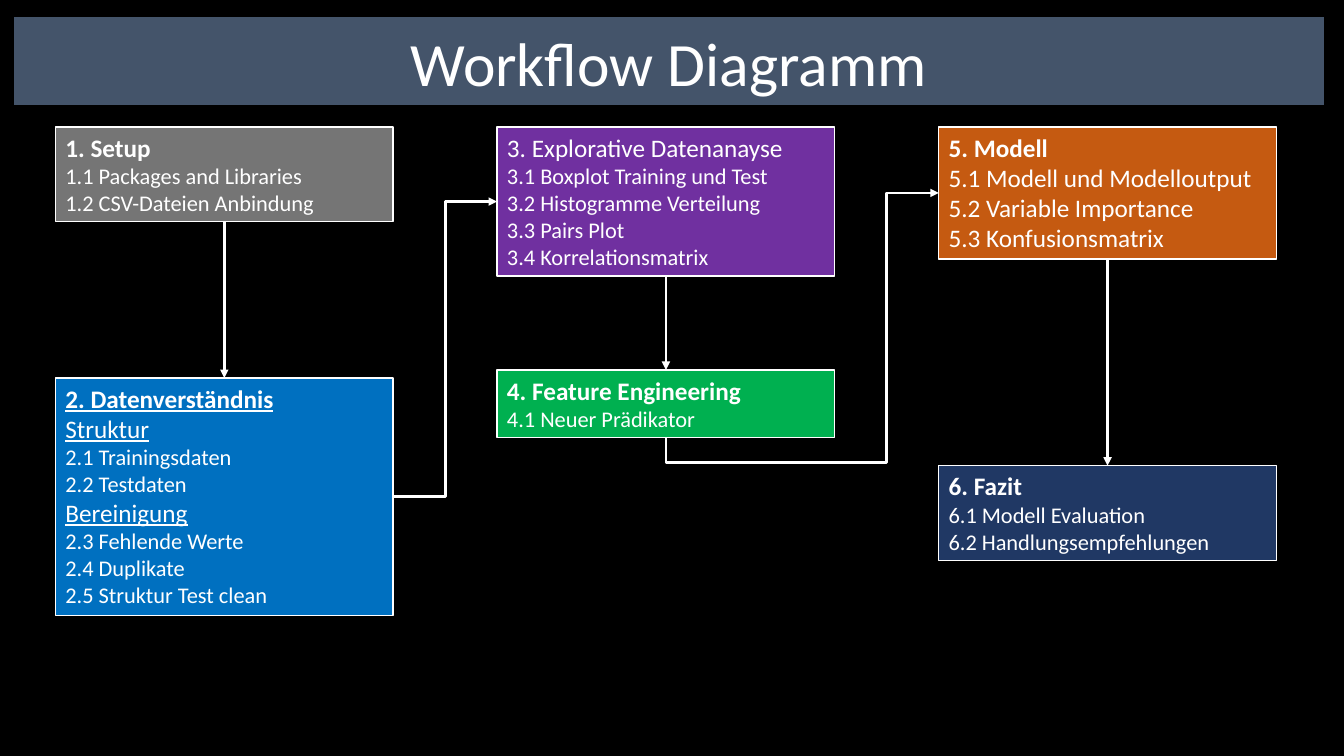
from dataclasses import dataclass

from lxml.etree import SubElement
from pptx import Presentation
from pptx.dml.color import RGBColor as RGB
from pptx.enum.shapes import MSO_CONNECTOR as Kind, MSO_SHAPE as Form
from pptx.enum.text import MSO_ANCHOR as Anchor, MSO_AUTO_SIZE as Fit, PP_ALIGN as Align
from pptx.oxml.ns import qn
from pptx.util import Inches, Pt

HUES = {
    "back": "000000", "text": "FFFFFF", "bar": "44546A", "gray": "808080",
    "blue": "0070C0", "violet": "7030A0", "green": "00B050",
    "orange": "C55A11", "navy": "203864",
}
LEFT, PITCH, WIDTH = 0.55, 4.38, 3.35
BOTTOM, RIGHT, TOP, SIDE = 2, 3, 0, 1


@dataclass
class Step:
    col: int
    top: float
    high: float
    hue: str
    head: str
    items: list[str]
    size: int = 16
    bold: bool = True
    under: bool = False
    alpha: int = 100


@dataclass
class Link:
    start: int
    end: int
    exit: int = BOTTOM
    entry: int = TOP
    kind: Kind = Kind.STRAIGHT


STEPS = [
    Step(0, 1.26, 0.94, "gray", "1. Setup",
         ["1.1 Packages and Libraries", "1.2 CSV-Dateien Anbindung"], alpha=92),
    Step(0, 3.75, 2.36, "blue", "2. Datenverständnis",
         ["Struktur", "2.1 Trainingsdaten", "2.2 Testdaten", "Bereinigung",
          "2.3 Fehlende Werte", "2.4 Duplikate", "2.5 Struktur Test clean"], under=True),
    Step(1, 1.26, 1.48, "violet", "3. Explorative Datenanayse",
         ["3.1 Boxplot Training und Test", "3.2 Histogramme Verteilung",
          "3.3 Pairs Plot", "3.4 Korrelationsmatrix"], bold=False),
    Step(1, 3.67, 0.67, "green", "4. Feature Engineering", ["4.1 Neuer Prädikator"]),
    Step(2, 1.26, 1.31, "orange", "5. Modell",
         ["5.1 Modell und Modelloutput", "5.2 Variable Importance",
          "5.3 Konfusionsmatrix"], size=18),
    Step(2, 4.62, 0.94, "navy", "6. Fazit",
         ["6.1 Modell Evaluation", "6.2 Handlungsempfehlungen"]),
]
LINKS = [
    Link(0, 1),
    Link(1, 2, RIGHT, SIDE, Kind.ELBOW),
    Link(2, 3),
    Link(3, 4, BOTTOM, SIDE, Kind.ELBOW),
    Link(4, 5),
]


def color(name: str) -> RGB:
    return RGB.from_string(HUES[name])


def paint(fill, name: str, alpha: int = 100) -> None:
    fill.solid()
    fill.fore_color.rgb = color(name)
    if alpha < 100:
        tint = fill._xPr.find(".//" + qn("a:srgbClr"))
        SubElement(tint, qn("a:alpha"), val=str(alpha * 1000))


def write(par, text: str, size: int = 18, bold: bool = False,
          under: bool = False, align: Align = Align.LEFT) -> None:
    par.alignment = align
    run = par.add_run()
    run.text = text
    font = run.font
    font.name, font.size = "Calibri", Pt(size)
    font.bold, font.underline = bold, under
    font.color.rgb = color("text")


def draw_step(slide, step: Step):
    box = slide.shapes.add_shape(
        Form.RECTANGLE, Inches(LEFT + step.col * PITCH), Inches(step.top),
        Inches(WIDTH), Inches(step.high))
    box.shadow.inherit = False
    paint(box.fill, step.hue, step.alpha)
    box.line.color.rgb = color("text")
    box.line.width = Pt(1)
    frame = box.text_frame
    frame.word_wrap = True
    frame.auto_size = Fit.SHAPE_TO_FIT_TEXT
    frame.vertical_anchor = Anchor.TOP
    write(frame.paragraphs[0], step.head, bold=step.bold, under=step.under)
    for item in step.items:
        group = not item[0].isdigit()
        write(frame.add_paragraph(), item, size=18 if group else step.size, under=group)
    return box


def turn_up(line) -> None:
    """Route the elbow down, right, up and right into its target."""
    wide, high = line.width, line.height
    mid_x, mid_y = line.left + wide // 2, line.top + high // 2
    line.width, line.height = high, wide
    line.left, line.top = mid_x - high // 2, mid_y - wide // 2
    props = line._element.spPr
    frame = props.find(qn("a:xfrm"))
    for key, val in (("rot", "5400000"), ("flipH", "1"), ("flipV", "1")):
        frame.set(key, val)
    geom = props.find(qn("a:prstGeom"))
    geom.set("prst", "bentConnector4")
    guides = geom.find(qn("a:avLst"))
    if guides is None:
        guides = SubElement(geom, qn("a:avLst"))
    for name, val in (("adj1", -10300), ("adj2", 81000)):
        SubElement(guides, qn("a:gd"), name=name, fmla=f"val {val}")


def draw_link(slide, boxes: list, link: Link) -> None:
    line = slide.shapes.add_connector(link.kind, 0, 0, 0, 0)
    line.begin_connect(boxes[link.start], link.exit)
    line.end_connect(boxes[link.end], link.entry)
    if link.exit == BOTTOM and link.entry == SIDE:
        turn_up(line)
    line.line.color.rgb = color("text")
    line.line.width = Pt(2)
    SubElement(line.line._get_or_add_ln(), qn("a:tailEnd"), type="triangle")
    SubElement(line._element.spPr, qn("a:effectLst"))


def draw_title(slide, text: str) -> None:
    bar = slide.shapes.title
    bar.left, bar.top = Inches(0.14), Inches(0.17)
    bar.width, bar.height = Inches(12.99), Inches(0.87)
    paint(bar.fill, "bar")
    frame = bar.text_frame
    frame.auto_size = Fit.NONE
    frame.vertical_anchor = Anchor.BOTTOM
    par = frame.paragraphs[0]
    par.line_spacing = 0.9
    write(par, text, size=44, align=Align.CENTER)


def main() -> None:
    deck = Presentation()
    deck.slide_width, deck.slide_height = Inches(13.33), Inches(7.5)
    slide = deck.slides.add_slide(deck.slide_layouts[5])
    paint(slide.background.fill, "back")
    draw_title(slide, "Workflow Diagramm")
    boxes = [draw_step(slide, step) for step in STEPS]
    for link in LINKS:
        draw_link(slide, boxes, link)
    deck.save("out.pptx")


if __name__ == "__main__":
    main()
